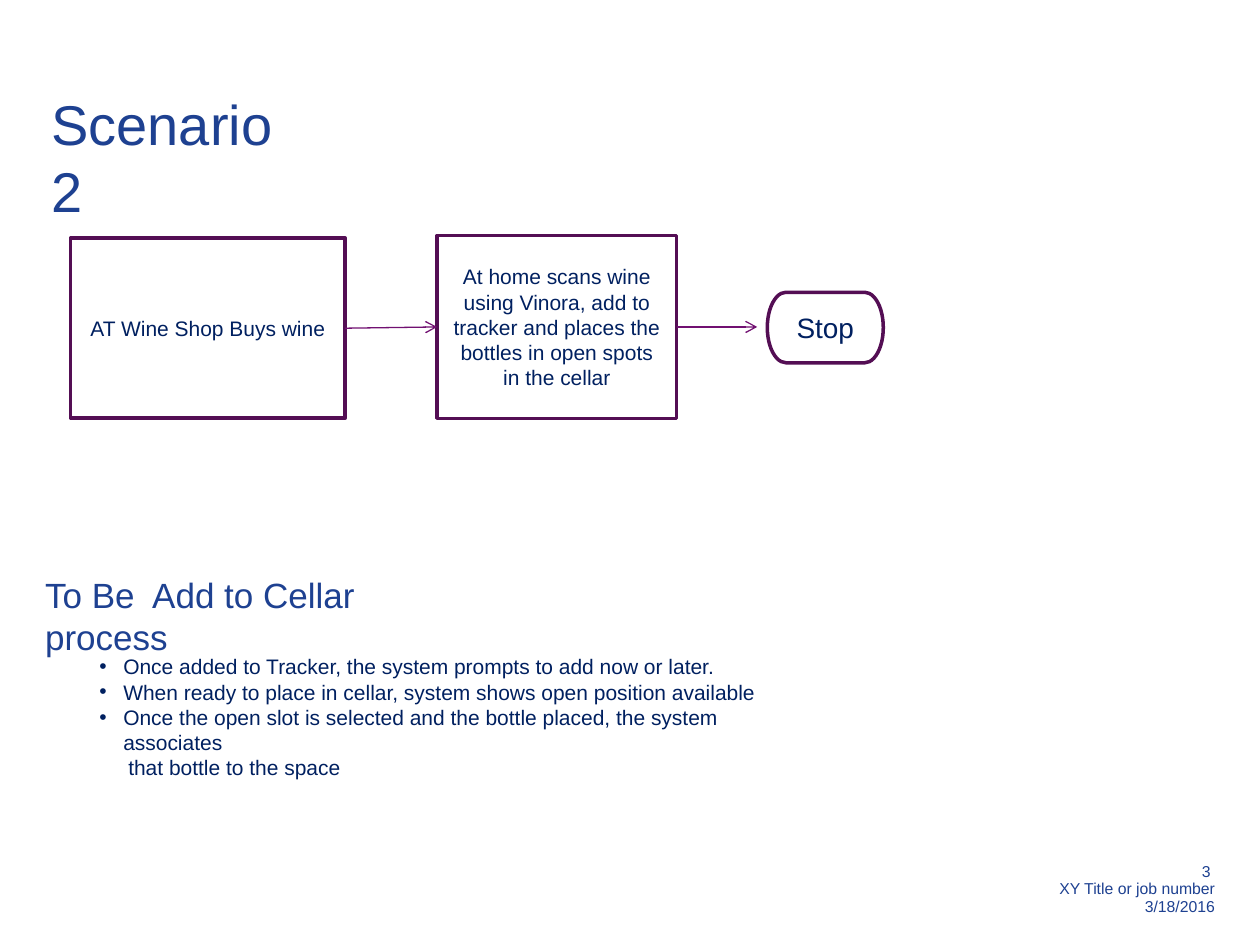
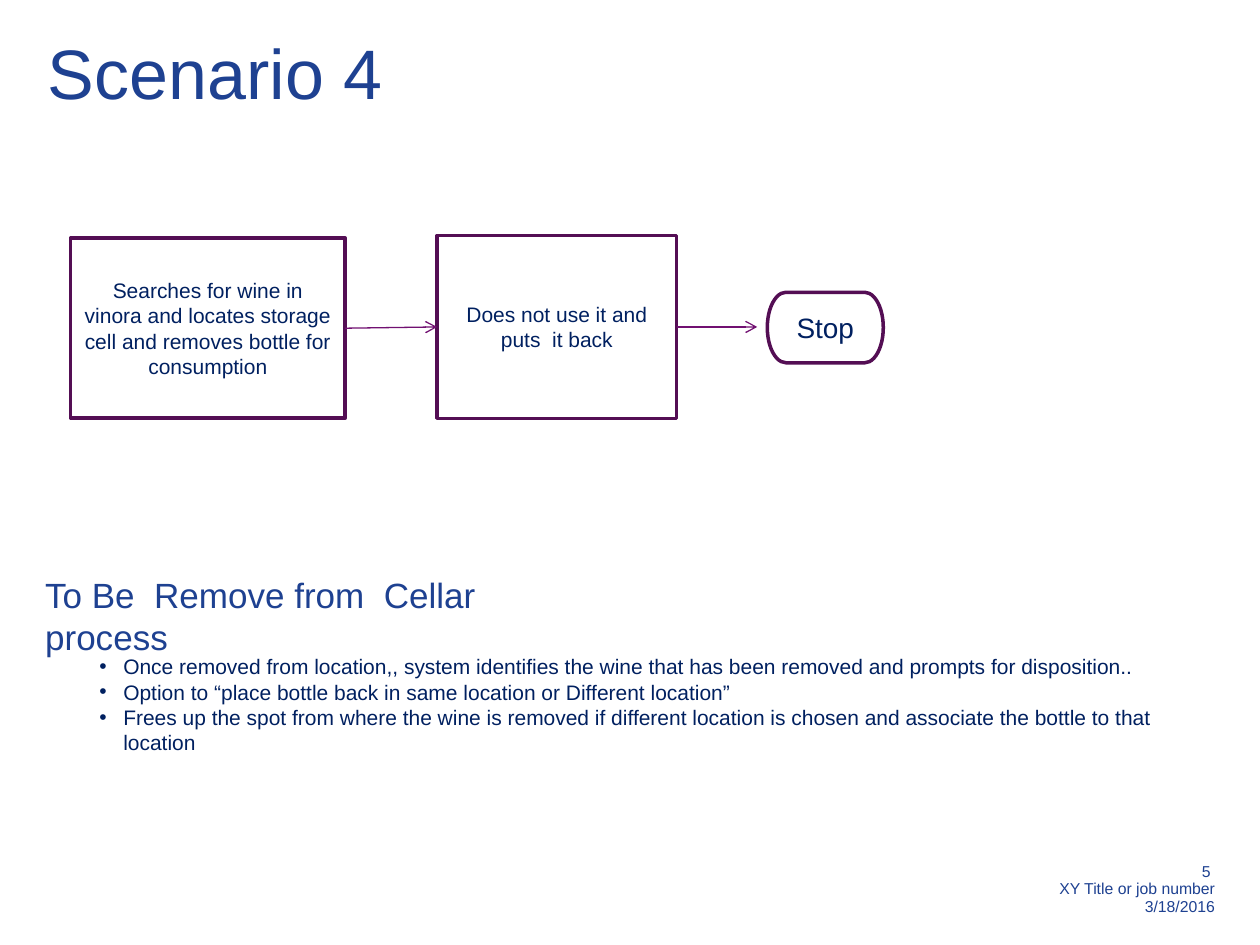
from lxml import etree
from pptx import Presentation
from pptx import util as u
from pptx.dml.color import RGBColor
from pptx.enum import shapes, text
from pptx.oxml.ns import qn

COLORS = {"heading": "1E4191", "body": "002060", "border": "540E54",
          "arrow": "711071", "paper": "FFFFFF"}
FONT = "Arial"
WIDTH, HEIGHT = u.Inches(10), u.Inches(7.5)
COLUMNS, ROWS = 100, 75
HANGING = u.Inches(0.19)
CONTINUATION = u.Inches(0.23)

# Places on the grid: left, top, width, height
FIRST_STEP = (5.6, 18.9, 21.8, 14.3)
SECOND_STEP = (34.7, 18.7, 19, 14.5)
STOP = (60.9, 23.2, 9.2, 5.6)
ARROW_ROW, ARROW_END = 26, 60.1
FOOTER = (70.5, 68.1, 26.9, 5.1)


def rgb(name):
    return RGBColor.from_string(COLORS[name])


class Page:
    """Shared style and the slide being drawn."""

    def __init__(self, deck):
        self.slide = deck.slides.add_slide(deck.slide_layouts[6])

    def place(self, *lengths):
        """Turn alternating columns and rows into slide lengths."""
        units = (WIDTH / COLUMNS, HEIGHT / ROWS)
        return [round(n * units[i % 2]) for i, n in enumerate(lengths)]

    def set_text(self, frame, lines, size, color, align=None, spacing=None):
        frame.word_wrap = True
        frame.text = "\n".join(lines)
        for para in frame.paragraphs:
            para.alignment = align
            para.line_spacing = spacing
            for span in para.runs:
                span.font.name = FONT
                span.font.size = u.Pt(size)
                span.font.color.rgb = rgb(color)

    def label(self, spot, lines, size, color="heading", inset=True, **style):
        box = self.slide.shapes.add_textbox(*self.place(*spot))
        frame = box.text_frame
        if not inset:
            frame.margin_left = frame.margin_right = 0
            frame.margin_top = frame.margin_bottom = 0
        self.set_text(frame, lines, size, color, **style)
        return box

    def bullets(self, spot, items, continuation=None):
        lines = items + ([continuation] if continuation else [])
        box = self.label(spot, lines, 12, "body")
        for i, para in enumerate(box.text_frame.paragraphs):
            properties = para._p.get_or_add_pPr()
            if i < len(items):
                properties.set("marL", str(HANGING))
                properties.set("indent", str(-HANGING))
                font = etree.SubElement(properties, qn("a:buFont"))
                font.set("typeface", FONT)
                mark = etree.SubElement(properties, qn("a:buChar"))
                mark.set("char", "•")
            else:
                properties.set("marL", str(CONTINUATION))

    def step(self, spot, words, kind=shapes.MSO_SHAPE.RECTANGLE, size=12):
        box = self.slide.shapes.add_shape(kind, *self.place(*spot))
        box.shadow.inherit = False
        box.fill.solid()
        box.fill.fore_color.rgb = rgb("paper")
        box.line.color.rgb = rgb("border")
        box.line.width = u.Pt(2)
        box.text_frame.vertical_anchor = text.MSO_ANCHOR.MIDDLE
        self.set_text(box.text_frame, [words], size, "body", text.PP_ALIGN.CENTER)
        return box

    def arrow(self, source, target=None):
        """Run from a box's right side to another's left, or to just before Stop."""
        end = self.place(ARROW_END, ARROW_ROW)
        line = self.slide.shapes.add_connector(
            shapes.MSO_CONNECTOR.STRAIGHT, source.left + source.width, end[1], *end)
        line.begin_connect(source, 3)
        if target is not None:
            line.end_connect(target, 1)
        else:
            line.end_y = line.begin_y
        line.line.color.rgb = rgb("arrow")
        line.line.width = u.Pt(0.75)
        outline = line._element.spPr.find(qn("a:ln"))
        etree.SubElement(outline, qn("a:tailEnd")).set("type", "arrow")
        etree.SubElement(line._element.spPr, qn("a:effectLst"))

    def flow(self, first_words, second_words):
        first = self.step(FIRST_STEP, first_words)
        second = self.step(SECOND_STEP, second_words)
        self.step(STOP, "Stop", shapes.MSO_SHAPE.FLOWCHART_TERMINATOR, 16)
        self.arrow(first, second)
        self.arrow(second)

    def process(self, width, words):
        self.label((2.6, 45, width, 4.4), [words], 20)

    def footer(self, number):
        self.label(FOOTER, [f"{number} ", "XY Title or job number", "3/18/2016"], 9,
                   align=text.PP_ALIGN.RIGHT, spacing=0.9)


# Scenario 2
def add_to_cellar(deck):
    page = Page(deck)
    page.footer(3)
    page.label((3.1, 6.6, 22.3, 6.4), ["Scenario 2"], 32)
    page.flow("AT Wine Shop Buys wine",
              "At home scans wine using Vinora, add to tracker and places the "
              "bottles in open spots in the cellar")
    page.bullets((6.9, 51.4, 58.6, 9.1), [
        "Once added to Tracker, the system prompts to add now or later.",
        "When ready to place in cellar, system shows open position available",
        "Once the open slot is selected and the bottle placed, the system associates",
    ], continuation="that bottle to the space")
    page.process(35.4, "To Be  Add to Cellar process")


# Scenario 4
def remove_from_cellar(deck):
    page = Page(deck)
    page.footer(5)
    page.label((3.8, 3.1, 92.5, 10.9), ["Scenario 4"], 40, inset=False, spacing=0.9)
    page.flow("Searches for wine in vinora and locates storage cell and removes "
              "bottle for consumption",
              "Does not use it and puts  it back")
    page.bullets((6.9, 51.4, 91.4, 7.1), [
        "Once removed from location,, system identifies the wine that has been "
        "removed and prompts for disposition..",
        "Option to “place bottle back in same location or Different location”",
        "Frees up the spot from where the wine is removed if different location "
        "is chosen and associate the bottle to that location",
    ])
    page.process(44.2, "To Be  Remove from  Cellar process")


def main():
    deck = Presentation()
    deck.slide_width, deck.slide_height = WIDTH, HEIGHT
    add_to_cellar(deck)
    remove_from_cellar(deck)
    deck.save("out.pptx")


if __name__ == "__main__":
    main()
